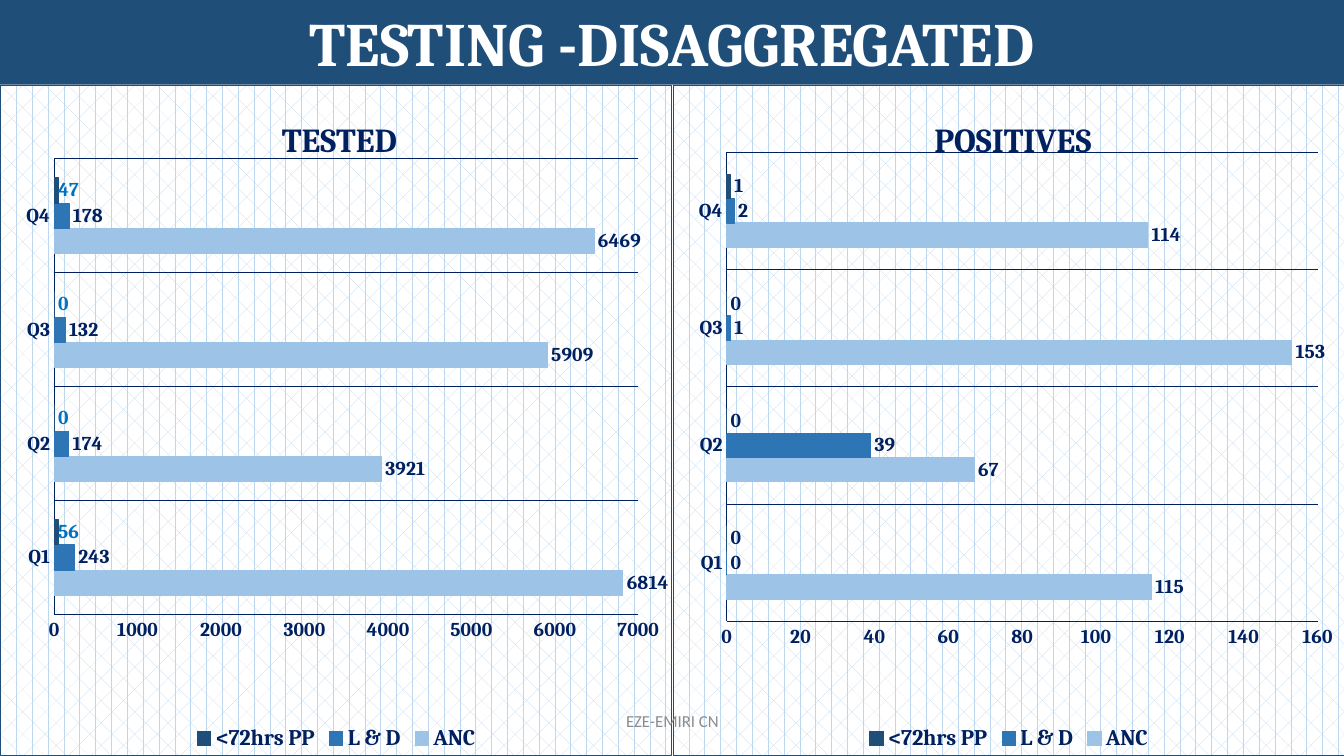
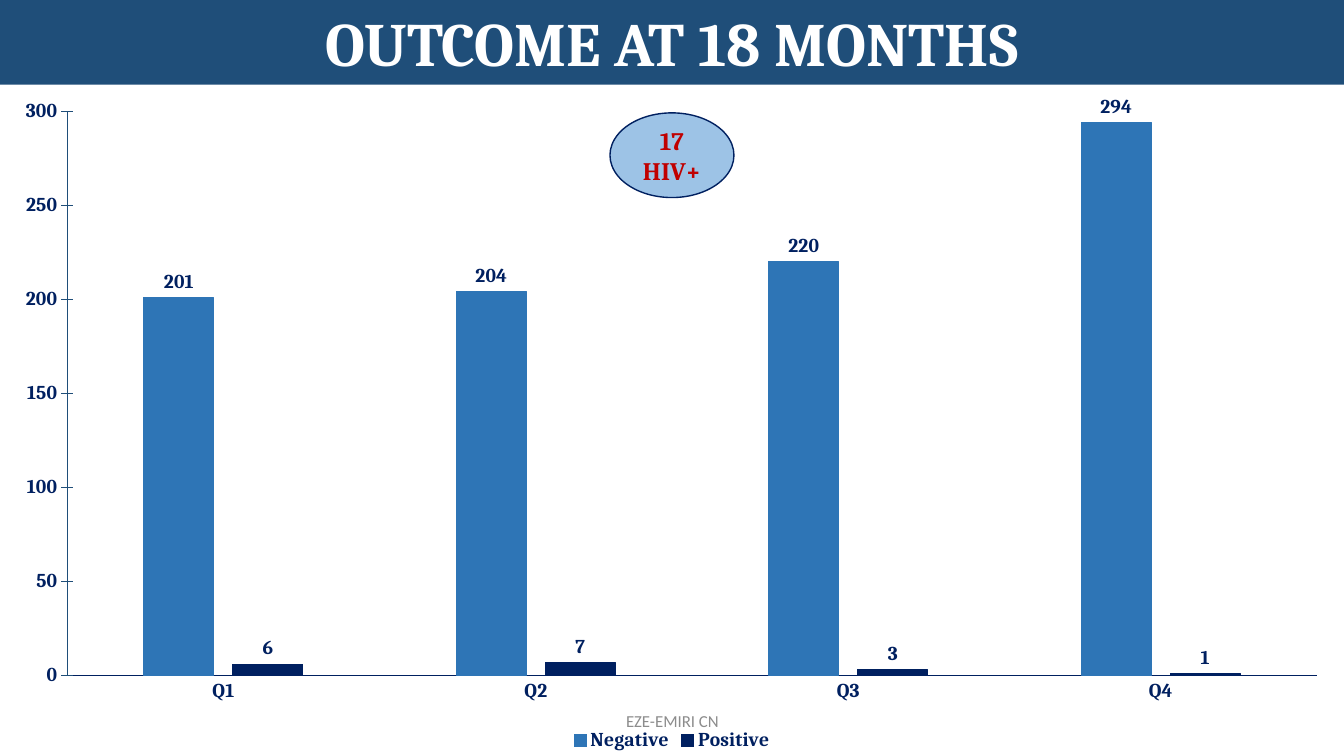
from lxml.etree import SubElement
from pptx import Presentation
from pptx.chart.data import CategoryChartData
from pptx.dml.color import RGBColor
from pptx.enum.chart import (XL_CHART_TYPE, XL_LABEL_POSITION,
                             XL_LEGEND_POSITION, XL_TICK_MARK)
from pptx.enum.shapes import MSO_SHAPE
from pptx.enum.text import MSO_ANCHOR, PP_ALIGN
from pptx.oxml import parse_xml
from pptx.oxml.ns import nsdecls, qn
from pptx.util import Inches, Pt

NAVY, DARK, BLUE, PALE = "002060", "1F4E79", "2E75B6", "9DC3E6"
BRIGHT, RED, GREY, WHITE = "0070C0", "C00000", "8C8C8C", "FFFFFF"
QUARTERS = ["Q1", "Q2", "Q3", "Q4"]
BAND_H = 0.84
OUT, BASE = XL_LABEL_POSITION.OUTSIDE_END, XL_LABEL_POSITION.INSIDE_BASE

PATTERNED_AREA = f"""<c:spPr {nsdecls('c', 'a')}>
  <a:pattFill prst="divot">
    <a:fgClr><a:srgbClr val="BDD7EE"/></a:fgClr>
    <a:bgClr><a:srgbClr val="{WHITE}"/></a:bgClr>
  </a:pattFill>
  <a:ln w="9525"><a:solidFill><a:srgbClr val="{DARK}"/></a:solidFill></a:ln>
</c:spPr>"""


def style(obj, size=None, color=NAVY, font="Cambria", bold=True, width=0.75):
    """Format a font when a size is given, otherwise a line."""
    if size:
        values = {"size": Pt(size), "name": font, "bold": bold}
        for name, value in values.items():
            setattr(obj, name, value)
    else:
        obj.width = Pt(width)
        obj.fill.solid()
    obj.color.rgb = RGBColor.from_string(color)


def set_layout(parent, **values):
    """Place a chart element by fractions of the chart area."""
    for old in parent.findall(qn("c:layout")):
        parent.remove(old)
    layout = parse_xml(f"<c:layout {nsdecls('c')}><c:manualLayout/></c:layout>")
    for tag, value in values.items():
        SubElement(layout[0], qn(f"c:{tag}")).set("val", str(value))
    before = parent.find(qn("c:tx"))
    parent.insert(0 if before is None else parent.index(before) + 1, layout)


prs = Presentation()
prs.slide_width, prs.slide_height = Inches(13.33), Inches(7.5)

tested = {
    "type": XL_CHART_TYPE.BAR_CLUSTERED, "left": 0, "width": 6.67,
    "title": "TESTED", "title_x": 0.41, "max": 7000, "step": 1000,
    "gap": 150, "overlap": 0, "legend": 16,
    "plot": (0.08, 0.11, 0.87, 0.68),
    "series": [("ANC", (6814, 3921, 5909, 6469), PALE, OUT, NAVY),
               ("L & D", (243, 174, 132, 178), BLUE, OUT, NAVY),
               ("<72hrs PP", (56, 0, 0, 47), DARK, BASE, BRIGHT)],
}
positives = tested | {
    "left": 6.67, "title": "POSITIVES", "title_x": 0.38,
    "max": 160, "step": 20, "gap": 182,
    "plot": (0.08, 0.1, 0.88, 0.7),
    "series": [("ANC", (115, 67, 153, 114), PALE, OUT, NAVY),
               ("L & D", (0, 39, 1, 2), BLUE, OUT, NAVY),
               ("<72hrs PP", (0, 0, 0, 1), DARK, OUT, NAVY)],
}
outcome = {
    "type": XL_CHART_TYPE.COLUMN_CLUSTERED, "left": 0, "width": 13.33,
    "title": None, "max": 300, "step": 50,
    "gap": 219, "overlap": -27, "legend": 14,
    "plot": (0.05, 0.04, 0.93, 0.84),
    "series": [("Negative", (201, 204, 220, 294), BLUE, OUT, NAVY),
               ("Positive", (6, 7, 3, 1), NAVY, OUT, NAVY)],
}
slides = [("TESTING -DISAGGREGATED", [tested, positives], None),
          ("OUTCOME AT 18 MONTHS", [outcome], "17 HIV+")]

for heading, charts, badge in slides:
    s = prs.slides.add_slide(prs.slide_layouts[6])

    for cfg in charts:
        data = CategoryChartData()
        data.categories = QUARTERS
        for name, values, *_ in cfg["series"]:
            data.add_series(name, values)
        chart = s.shapes.add_chart(
            cfg["type"], Inches(cfg["left"]), Inches(BAND_H),
            Inches(cfg["width"]), Inches(7.5 - BAND_H), data).chart
        chart_space = chart._chartSpace
        style(chart.font, 14)

        cat, val = chart.category_axis, chart.value_axis
        cat.major_tick_mark = XL_TICK_MARK.NONE
        style(cat.format.line)
        val.has_major_gridlines = False
        val.minimum_scale, val.maximum_scale = 0, cfg["max"]
        val.major_unit = cfg["step"]
        for axis in (cat, val):
            style(axis.tick_labels.font, 14)

        if cfg["title"]:
            chart.has_title = True
            p = chart.chart_title.text_frame.paragraphs[0]
            r = p.add_run()
            r.text = cfg["title"]
            style(r.font, 24)
            set_layout(chart_space.find(".//" + qn("c:title")),
                       xMode="edge", yMode="edge", x=cfg["title_x"], y=0.04)
            cat.has_major_gridlines = True
            style(cat.major_gridlines.format.line)
            val.major_tick_mark = XL_TICK_MARK.NONE
            val.format.line.fill.background()
            chart_space.find(qn("c:chart")).addnext(parse_xml(PATTERNED_AREA))
        else:
            chart.has_title = False
            val.major_tick_mark = XL_TICK_MARK.CROSS
            style(val.format.line, color=DARK)

        chart.has_legend = True
        chart.legend.position = XL_LEGEND_POSITION.BOTTOM
        chart.legend.include_in_layout = False
        style(chart.legend.font, cfg["legend"])

        plot = chart.plots[0]
        plot.vary_by_categories = False
        plot.gap_width, plot.overlap = cfg["gap"], cfg["overlap"]
        x, y, w, h = cfg["plot"]
        set_layout(chart_space.find(".//" + qn("c:plotArea")),
                   layoutTarget="inner", xMode="edge", yMode="edge",
                   x=x, y=y, w=w, h=h)
        for series, (_, _, color, position, label_color) in zip(
                plot.series, cfg["series"]):
            series.format.fill.solid()
            series.format.fill.fore_color.rgb = RGBColor.from_string(color)
            style(series.format.line, color=color)
            labels = series.data_labels
            labels.show_value = True
            labels.position = position
            style(labels.font, 14, label_color)

    texts = [
        (MSO_SHAPE.RECTANGLE, (0, 0, 13.33, BAND_H), heading, DARK, None,
         MSO_ANCHOR.TOP, {"size": 44, "color": WHITE}),
        (None, (4.42, 6.95, 4.5, 0.4), "EZE-EMIRI CN", None, None,
         MSO_ANCHOR.MIDDLE,
         {"size": 12, "color": GREY, "font": "Calibri", "bold": False}),
    ]
    if badge:
        texts.append((MSO_SHAPE.OVAL, (6.05, 1.12, 1.23, 0.84), badge, PALE, NAVY,
                      MSO_ANCHOR.MIDDLE, {"size": 18, "color": RED}))
    for shape, box, text, fill, line, anchor, font in texts:
        place = [Inches(v) for v in box]
        if shape:
            sp = s.shapes.add_shape(shape, *place)
            sp.shadow.inherit = False
            sp.fill.solid()
            sp.fill.fore_color.rgb = RGBColor.from_string(fill)
            if line:
                style(sp.line, color=line, width=1)
            else:
                sp.line.fill.background()
        else:
            sp = s.shapes.add_textbox(*place)
        tf = sp.text_frame
        tf.word_wrap, tf.vertical_anchor = True, anchor
        p = tf.paragraphs[0]
        p.alignment = PP_ALIGN.CENTER
        r = p.add_run()
        r.text = text
        style(r.font, **font)

prs.save("out.pptx")
